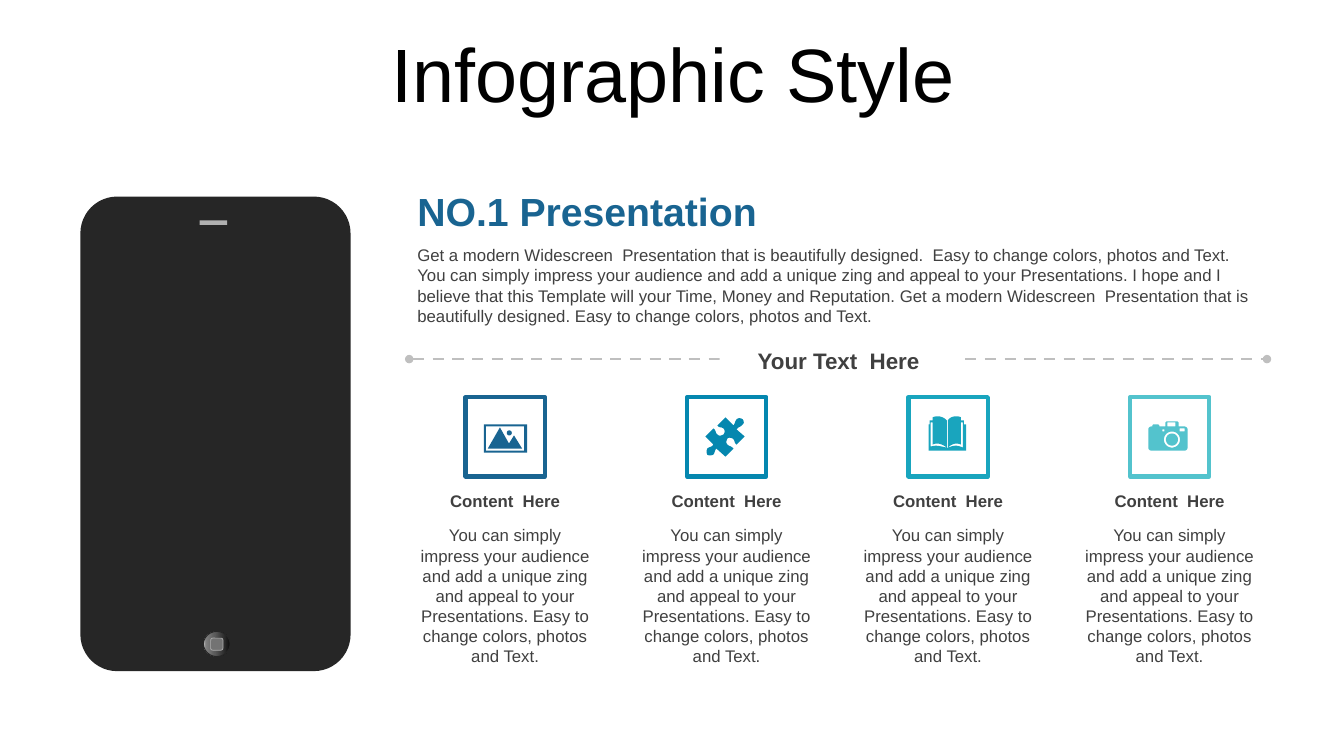
from math import cos, pi, sin
from lxml.etree import SubElement
from pptx import Presentation
from pptx.dml.color import RGBColor
from pptx.enum.dml import MSO_LINE
from pptx.enum.shapes import MSO_CONNECTOR, MSO_SHAPE
from pptx.enum.text import MSO_ANCHOR, PP_ALIGN
from pptx.oxml.ns import qn
from pptx.util import Pt

WHITE = RGBColor(0xFF, 0xFF, 0xFF)
BLACK = RGBColor(0x00, 0x00, 0x00)
DARK = RGBColor(0x26, 0x26, 0x26)
TEXT = RGBColor(0x40, 0x40, 0x40)
KEY = RGBColor(0x73, 0x73, 0x73)
SILVER = RGBColor(0xB0, 0xB0, 0xB0)
RULE = RGBColor(0xBF, 0xBF, 0xBF)
NAVY = RGBColor(0x19, 0x64, 0x91)
BLUE = RGBColor(0x05, 0x87, 0xAF)
TEAL = RGBColor(0x19, 0xA5, 0xBE)
AQUA = RGBColor(0x53, 0xC3, 0xCD)
SHADES = [(0, "0F0F0F"), (56, "595959"), (91, "808080"), (100, "BFBFBF")]
GRID = 0.72
INTRO = (
    "Get a modern Widescreen  Presentation that is beautifully designed.  "
    "Easy to change colors, photos and Text. You can simply impress your "
    "audience and add a unique zing and appeal to your Presentations. I hope "
    "and I believe that this Template will your Time, Money and Reputation. "
    "Get a modern Widescreen  Presentation that is beautifully designed. "
    "Easy to change colors, photos and Text."
)
BODY = (
    "You can simply impress your audience and add a unique zing and appeal to "
    "your Presentations. Easy to change colors, photos and Text."
)


def box(x, y, w, h):
    """Return the corners of a rectangle."""
    return [(x, y), (x + w, y), (x + w, y + h), (x, y + h)]


def ring(x, y, r, n=32):
    """Return points around a circle."""
    return [(x + r * cos(2 * pi * i / n), y + r * sin(2 * pi * i / n)) for i in range(n)]


def trace(steps, n=8):
    """Turn corners and cubic curves of six numbers into points."""
    pts = []
    for step in steps:
        if len(step) == 2:
            pts.append(step)
            continue
        (a, b), (c, d, e, f, g, h) = pts[-1], step
        for i in range(1, n + 1):
            t = i / n
            u = 1 - t
            k = (u**3, 3 * u * u * t, 3 * u * t * t, t**3)
            pts.append(tuple(sum(p * q for p, q in zip(k, v))
                             for v in ((a, c, e, g), (b, d, f, h))))
    return pts


PHOTO = [
    box(0, 0, 43, 28), box(2, 2, 38, 24), ring(25.3, 8.5, 2.5),
    [(16, 3), (25, 19), (30, 11), (38, 24), (4, 24)],
]
PUZZLE = [[
    (37, 2), (38, 3, 39, 6, 37, 7), (35, 10, 33, 9, 31, 12), (39, 19), (31, 27),
    (28, 25, 30, 23, 27, 21), (25, 20, 23, 20, 22, 21), (21, 23, 20, 25, 22, 27),
    (24, 29, 25, 28, 28, 31), (20, 39), (11, 31), (9, 33, 10, 34, 8, 37),
    (6, 38, 3, 38, 2, 37), (1, 35, 1, 33, 2, 31), (4, 29, 6, 30, 8, 27),
    (0, 19), (8, 11), (11, 13, 10, 16, 12, 17), (14, 19, 16, 18, 18, 17),
    (19, 16, 20, 13, 18, 11), (15, 9, 14, 11, 12, 8), (20, 0), (28, 8),
    (30, 5, 29, 5, 31, 2), (33, 0, 36, 1, 37, 2),
]]
BOOK = [[
    (18, 31), (18, 31, 19, 32, 19, 31), (25, 29, 27, 28, 34, 31), (34, 6),
    (32, 6), (32, 28), (28, 26, 23, 27, 19, 31), (19, 6), (19, 4),
    (21, 1, 24, 0, 27, 0), (29, 0, 30, 0, 32, 1), (32, 4), (35, 4), (35, 8),
    (37, 8), (37, 34), (0, 34), (0, 8), (1, 8), (1, 4), (4, 4), (4, 1),
    (6, 0, 8, 0, 9, 0), (12, 0, 15, 1, 18, 4), (18, 31), (13, 27, 8, 26, 4, 28),
    (4, 6), (2, 6), (2, 30), (8, 28, 12, 30, 18, 31),
]]
CAMERA = [
    [(18, 0), (29, 0), (30, 1), (30, 5), (36, 5), (37, 5, 39, 6, 39, 8), (39, 26),
     (39, 28, 37, 29, 36, 29), (3, 29), (2, 29, 0, 28, 0, 26), (0, 8),
     (0, 6, 2, 5, 3, 5), (4, 5), (4, 4), (5, 3), (10, 3), (11, 4), (11, 5),
     (17, 5), (17, 1)],
    ring(23.5, 18, 8), ring(23.5, 18, 6),
    box(14, 8, 2, 2), box(31, 7, 5, 3), box(19, 1, 8, 4),
]
ITEMS = [(NAVY, PHOTO, 13, 19.4), (BLUE, PUZZLE, 13, 14.4),
         (TEAL, BOOK, 14.4, 13.7), (AQUA, CAMERA, 13, 17.3)]


class Deck:
    """Hold the style and the current slide."""

    def __init__(self):
        self.show = Presentation()
        self.show.slide_width, self.show.slide_height = Pt(960), Pt(540)
        self.shapes = self.show.slides.add_slide(self.show.slide_layouts[6]).shapes
        self.font = {"name": "Arial", "size": Pt(12), "bold": False}

    def paint(self, shape, fill, line=None, width=0):
        """Set fill and outline and drop the shadow."""
        shape.shadow.inherit = False
        shape.fill.solid()
        shape.fill.fore_color.rgb = fill
        if line is None:
            shape.line.fill.background()
        else:
            shape.line.color.rgb = line
            shape.line.width = Pt(width)
        return shape

    def shape(self, kind, area, fill, line=None, width=0):
        """Add a preset shape."""
        return self.paint(self.shapes.add_shape(kind, *map(Pt, area)), fill, line, width)

    def label(self, shape, words, color=TEXT, align=PP_ALIGN.LEFT, anchor=MSO_ANCHOR.TOP, **style):
        """Fill a shape with one paragraph."""
        frame = shape.text_frame
        frame.word_wrap, frame.vertical_anchor = True, anchor
        para = frame.paragraphs[0]
        para.text, para.alignment = words, align
        font = para.runs[0].font
        for name, value in {**self.font, **style}.items():
            setattr(font, name, value)
        font.color.rgb = color
        return para

    def text(self, area, words, **style):
        """Add a text box."""
        return self.label(self.shapes.add_textbox(*map(Pt, area)), words, **style)

    def rule(self, x, y, end):
        """Add a dashed level line with round ends."""
        line = self.shapes.add_connector(MSO_CONNECTOR.STRAIGHT, Pt(x), Pt(y), Pt(end), Pt(y))
        line.line.color.rgb = RULE
        line.line.width, line.line.dash_style = Pt(2), MSO_LINE.DASH
        for tag in ("a:headEnd", "a:tailEnd"):
            SubElement(line.get_or_add_ln(), qn(tag), type="oval")
        SubElement(line.element.spPr, qn("a:effectLst"))

    def icon(self, x, y, loops, fill):
        """Add an outline of closed loops."""
        pen = None
        for loop in loops:
            pts = [(round(a * GRID * 100), round(b * GRID * 100)) for a, b in trace(loop)]
            if pen is None:
                pen = self.shapes.build_freeform(*pts[0], scale=Pt(1) / 100)
            else:
                pen.move_to(*pts[0])
            pen.add_line_segments(pts[1:], close=True)
        self.paint(pen.convert_to_shape(Pt(x), Pt(y)), fill)

    def shade(self, shape, stops):
        """Give a shape a gradient of many stops."""
        shape.fill.gradient()
        shape.fill.gradient_angle = 180
        row = shape.element.spPr.find(qn("a:gradFill")).find(qn("a:gsLst"))
        row.clear()
        for at, tone in stops:
            stop = SubElement(row, qn("a:gs"), pos=str(at * 1000))
            SubElement(stop, qn("a:srgbClr"), val=tone)

    def phone(self):
        """Add the phone."""
        case = self.shape(MSO_SHAPE.ROUNDED_RECTANGLE, (57.4, 140.4, 193, 339), DARK)
        case.adjustments[0] = 0.136
        self.shape(MSO_SHAPE.RECTANGLE, (142.6, 157.5, 19.6, 3.1), SILVER)
        home = self.shape(MSO_SHAPE.OVAL, (145.4, 451, 19, 18), DARK, DARK)
        self.shade(home, SHADES)
        self.shape(MSO_SHAPE.ROUNDED_RECTANGLE, (150.5, 455.8, 8.8, 8.6), KEY, SILVER, 0.5)


def main():
    """Build the slide."""
    deck = Deck()
    mid = PP_ALIGN.CENTER
    deck.phone()
    title = deck.text((25.2, 22.3, 911.5, 66.2), "Infographic Style", color=BLACK,
                      align=mid, anchor=MSO_ANCHOR.MIDDLE, size=Pt(54))
    title.line_spacing = 0.9
    deck.text((291, 130.3, 616, 41), "NO.1 Presentation", color=NAVY, size=Pt(28), bold=True)
    deck.text((291, 171.4, 616, 65.5), INTRO)
    deck.rule(292.3, 256.5, 905)
    plate = deck.shape(MSO_SHAPE.RECTANGLE, (514, 244.1, 170, 26.6), WHITE)
    deck.label(plate, "Your Text  Here", align=mid, size=Pt(16), bold=True)
    for i, (color, loops, dx, dy) in enumerate(ITEMS):
        x = 291 + 158.2 * i
        tile = x + 41.6
        deck.shape(MSO_SHAPE.RECTANGLE, (tile, 283.7, 56.7, 56.7), WHITE, color, 3)
        deck.text((x, 347, 139.7, 21.6), "Content  Here", align=mid, bold=True)
        deck.text((x, 371.5, 139.7, 108.7), BODY, align=mid)
        deck.icon(tile + dx, 283.7 + dy, loops, color)
    deck.show.save("out.pptx")


if __name__ == "__main__":
    main()
